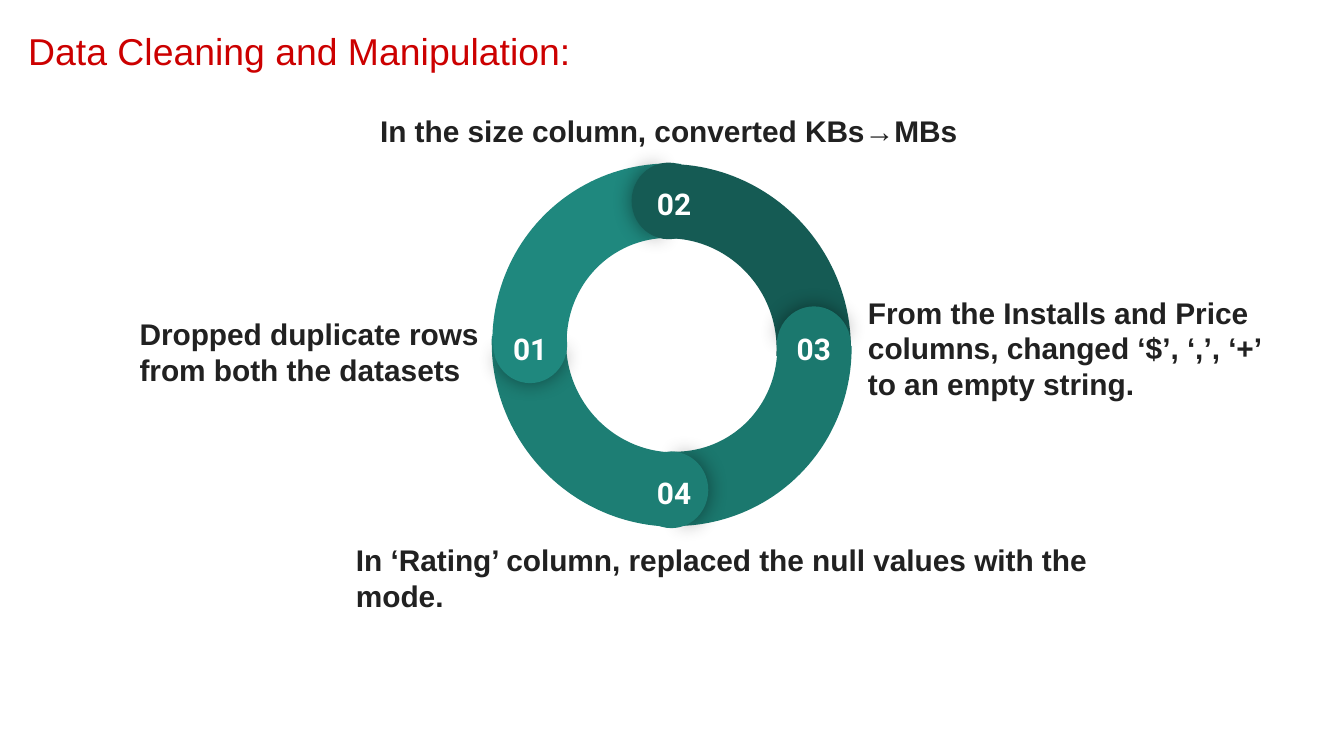
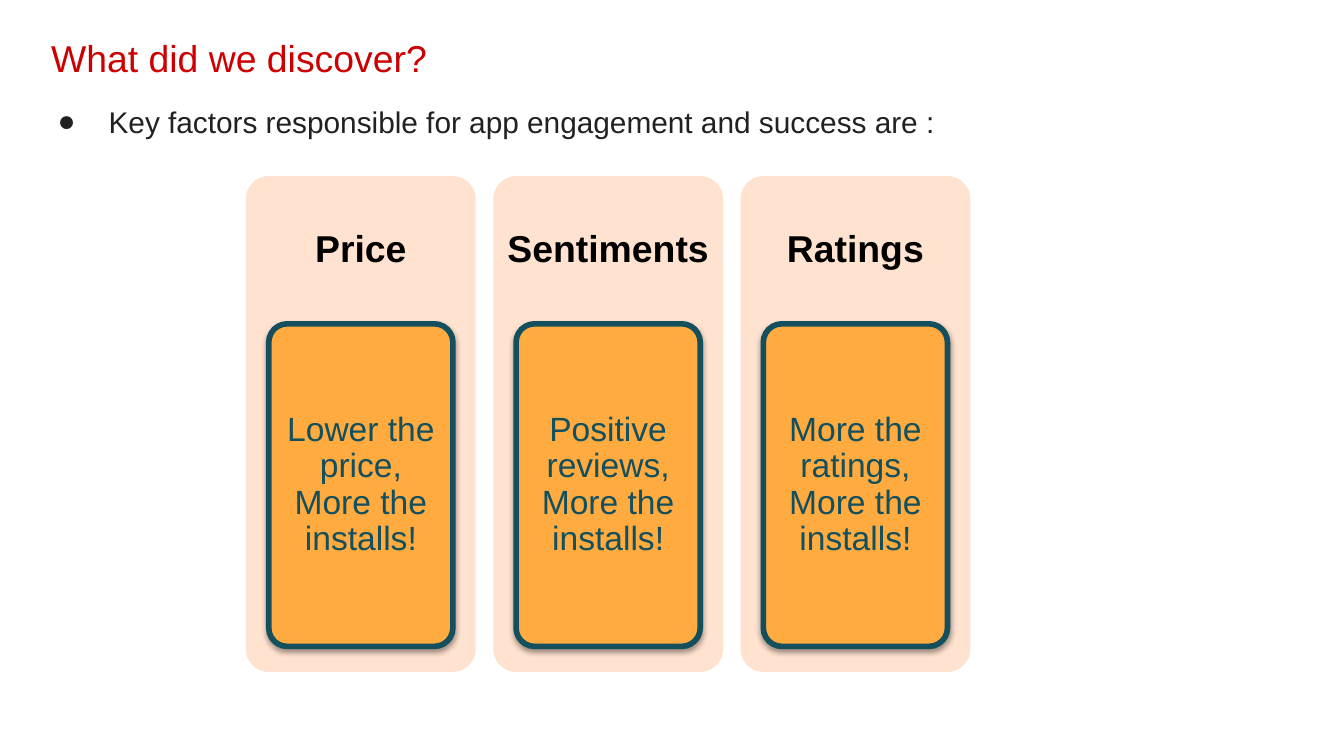
from dataclasses import dataclass
from typing import Optional

from lxml import etree
from pptx import Presentation
from pptx import util as u
from pptx.dml.color import RGBColor
from pptx.enum import shapes, text
from pptx.oxml import ns

RED, INK, WHITE, BLACK = "CC0000", "212121", "FFFFFF", "000000"
PEACH, ORANGE, PETROL = "FFE2CF", "FFAB40", "134F5C"
SHAPE = shapes.MSO_SHAPE
LEFT, CENTER = text.PP_ALIGN.LEFT, text.PP_ALIGN.CENTER
TOP, MIDDLE = text.MSO_ANCHOR.TOP, text.MSO_ANCHOR.MIDDLE

TITLE = {"size": u.Pt(20), "name": "Arial", "color": RED, "bold": False}
NOTE = {"size": u.Pt(16), "name": "Arial", "color": INK, "bold": True}
POINT = {**NOTE, "bold": False}
NUMBER = {"size": u.Pt(16), "name": "Roboto", "color": WHITE, "bold": True}
HEADING = {"size": u.Pt(20), "name": "Arial", "color": BLACK, "bold": True}
CARD = {"size": u.Pt(18), "name": "Arial", "color": PETROL, "bold": False}


@dataclass(frozen=True)
class Box:
    x: float
    y: float
    w: float
    h: float

    def emu(self) -> tuple:
        return tuple(u.Inches(v) for v in (self.x, self.y, self.w, self.h))


@dataclass(frozen=True)
class Shadow:
    alpha: int
    blur: float
    dist: float
    angle: int


@dataclass(frozen=True)
class Arc:
    box: Box
    rotation: float
    color: str
    start: float = 126.22
    end: float = 181.76


@dataclass(frozen=True)
class Badge:
    number: str
    box: Box
    rotation: float
    color: str
    label_x: float


@dataclass(frozen=True)
class Factor:
    name: str
    effect: str


WIDE_ARC = Box(3.64, 1.24, 2.71, 2.66)
TALL_ARC = Box(3.67, 1.21, 2.66, 2.71)
ARCS = (
    Arc(WIDE_ARC, 240, "1D7E74"),
    Arc(TALL_ARC, 330, "1F887E"),
    Arc(WIDE_ARC, 60, "155B54", 125.64, 183.46),
    Arc(TALL_ARC, 150, "1B786E", end=180.81),
)
BADGES = (
    Badge("03", Box(5.77, 2.29, 0.57, 0.55), 90, "1B786E", 5.81),
    Badge("04", Box(4.72, 3.36, 0.55, 0.57), 180, "1D7E74", 4.77),
    Badge("01", Box(3.66, 2.29, 0.57, 0.55), 270, "1F887E", 3.7),
    Badge("02", Box(4.7, 1.21, 0.55, 0.57), 0, "155B54", 4.77),
)
NOTES = (
    (Box(2.55, 3.98, 5.79, 0.88),
     "In ‘Rating’ column, replaced the null values with the mode."),
    (Box(0.94, 2.3, 3.05, 0.64),
     "Dropped duplicate rows from both the datasets"),
    (Box(6.36, 2.14, 3.34, 1.14),
     "From the Installs and Price columns, changed ‘$’, ‘,’, ‘+’ to an empty string."),
    (Box(2.73, 0.79, 4.57, 0.37), "In the size column, converted KBs→MBs"),
)
FACTORS = (
    Factor("Price", "Lower the price, More the installs!"),
    Factor("Sentiments", "Positive reviews, More the installs!"),
    Factor("Ratings", "More the ratings, More the installs!"),
)
BADGE_SHADOW = Shadow(43, 11.2, 0, 0)
CARD_SHADOW = Shadow(38, 3.1, 1.6, 90)


def rgb(value: str) -> RGBColor:
    return RGBColor.from_string(value)


def write(sp, content: str, style: dict, align=LEFT, anchor=TOP,
          inset: tuple = (0.1, 0.1), spacing: Optional[float] = None,
          bullet: Optional[str] = None) -> None:
    tf = sp.text_frame
    across, down = (u.Inches(v) for v in inset)
    frame = {"word_wrap": True, "auto_size": text.MSO_AUTO_SIZE.NONE,
             "vertical_anchor": anchor, "margin_left": across,
             "margin_right": across, "margin_top": down, "margin_bottom": down}
    for key, value in frame.items():
        setattr(tf, key, value)
    p = tf.paragraphs[0]
    p.alignment = align
    if spacing:
        p.line_spacing = spacing
    if bullet:
        props = p._p.get_or_add_pPr()
        props.set("marL", str(u.Inches(0.5)))
        props.set("indent", str(-u.Inches(0.38)))
        etree.SubElement(props, ns.qn("a:buFont"), typeface=style["name"])
        etree.SubElement(props, ns.qn("a:buChar"), char=bullet)
    r = p.add_run()
    r.text = content
    for key, value in style.items():
        if key == "color":
            r.font.color.rgb = rgb(value)
        else:
            setattr(r.font, key, value)


def add_text(s, box: Box, content: str, style: dict, **layout):
    sp = s.shapes.add_textbox(*box.emu())
    write(sp, content, style, **layout)
    return sp


def add_title(s, box: Box, content: str) -> None:
    sp = s.shapes.title
    sp.left, sp.top, sp.width, sp.height = box.emu()
    write(sp, content, TITLE)


def add_shape(s, kind, box: Box, color: str, adjustments: tuple,
              rotation: float = 0, shadow: Optional[Shadow] = None):
    sp = s.shapes.add_shape(kind, *box.emu())
    sp.rotation = rotation
    for i, value in enumerate(adjustments):
        sp.adjustments[i] = value
    sp.fill.solid()
    sp.fill.fore_color.rgb = rgb(color)
    sp.line.fill.background()
    sp.shadow.inherit = False
    if shadow:
        effects = sp._element.spPr.find(ns.qn("a:effectLst"))
        outer = etree.SubElement(
            effects, ns.qn("a:outerShdw"), blurRad=str(u.Pt(shadow.blur)),
            dist=str(u.Pt(shadow.dist)), dir=str(shadow.angle * 60000),
            algn="ctr", rotWithShape="0")
        tint = etree.SubElement(outer, ns.qn("a:srgbClr"), val=BLACK)
        etree.SubElement(tint, ns.qn("a:alpha"), val=str(shadow.alpha * 1000))
    return sp


def add_badge(s, badge: Badge) -> None:
    add_shape(s, SHAPE.PIE, badge.box, badge.color, (61.9, 149.96),
              badge.rotation + 0.6, BADGE_SHADOW)
    add_shape(s, SHAPE.PIE, badge.box, badge.color, (40.28, 171.84),
              (badge.rotation + 180) % 360)
    add_text(s, Box(badge.label_x, badge.box.y + 0.07, 0.49, 0.26),
             badge.number, NUMBER, align=CENTER)


def add_factor(s, factor: Factor, x: float) -> None:
    add_shape(s, SHAPE.ROUNDED_RECTANGLE, Box(x, 1.31, 1.71, 3.69), PEACH, (0.1,))
    add_text(s, Box(x, 1.31, 1.71, 1.11), factor.name, HEADING, align=CENTER,
             anchor=MIDDLE, inset=(0.08, 0.08), spacing=0.9)
    card = add_shape(s, SHAPE.ROUNDED_RECTANGLE, Box(x + 0.17, 2.41, 1.37, 2.4),
                     ORANGE, (0.1,), shadow=CARD_SHADOW)
    card.line.color.rgb = rgb(PETROL)
    card.line.width = u.Pt(3)
    add_text(s, Box(x + 0.21, 2.45, 1.29, 2.32), factor.effect, CARD,
             align=CENTER, anchor=MIDDLE, inset=(0.05, 0.04), spacing=0.9)


def cleaning_slide(s) -> None:
    add_title(s, Box(0.11, 0.11, 9.32, 0.63), "Data Cleaning and Manipulation:")
    for arc in ARCS:
        add_shape(s, SHAPE.BLOCK_ARC, arc.box, arc.color,
                  (arc.start, arc.end, 0.208), arc.rotation)
    for badge in BADGES:
        add_badge(s, badge)
    for box, content in NOTES:
        add_text(s, box, content, NOTE, inset=(0.1, 0.05))


def discovery_slide(s) -> None:
    add_title(s, Box(0.28, 0.16, 8.48, 0.63), "What did we discover?")
    add_text(s, Box(0.21, 0.63, 9.15, 3.82),
             "Key factors responsible for app engagement and success are :",
             POINT, spacing=1.15, bullet="●")
    for i, factor in enumerate(FACTORS):
        add_factor(s, factor, 1.83 + 1.84 * i)


def main() -> None:
    prs = Presentation()
    prs.slide_width = u.Inches(10)
    prs.slide_height = prs.slide_width * 9 // 16
    for build in (cleaning_slide, discovery_slide):
        build(prs.slides.add_slide(prs.slide_layouts[5]))
    prs.save("out.pptx")


if __name__ == "__main__":
    main()
